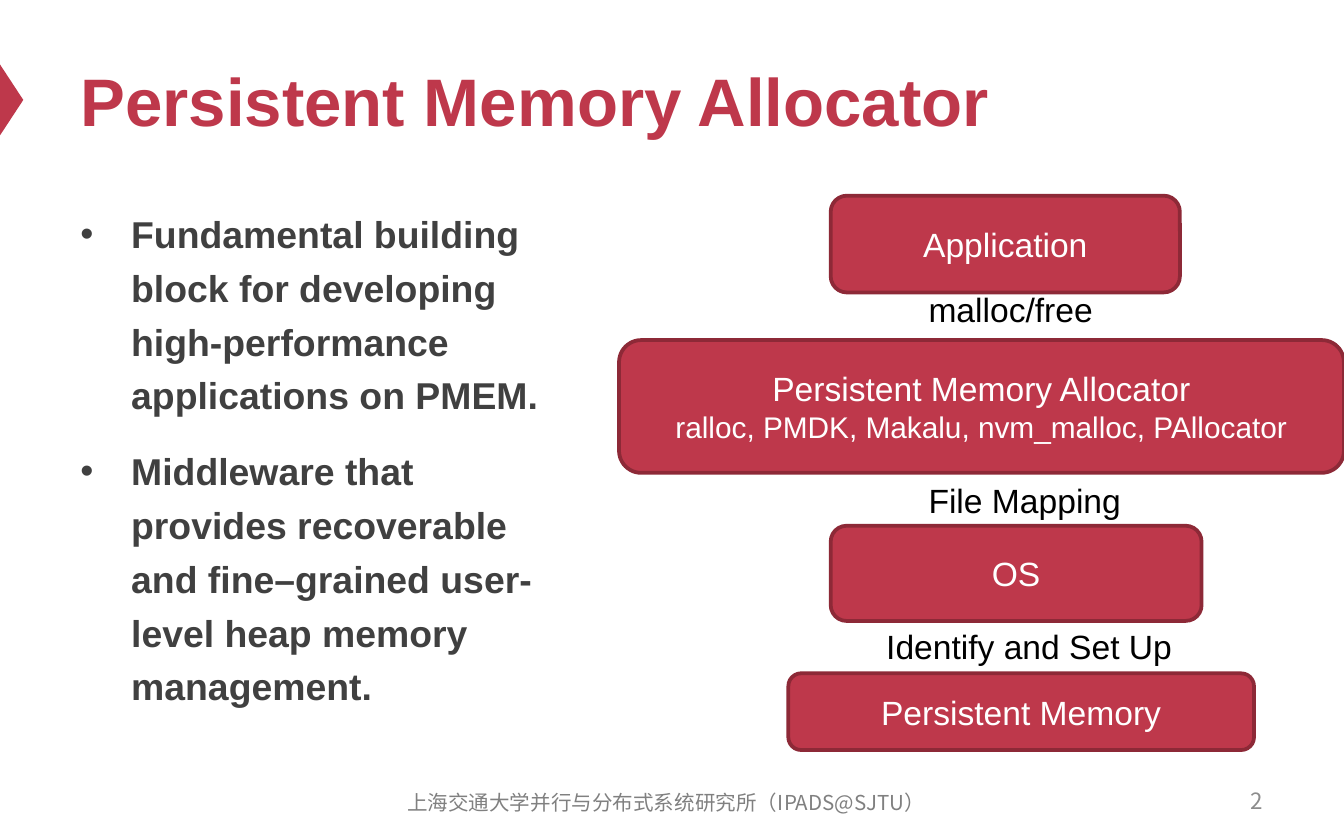
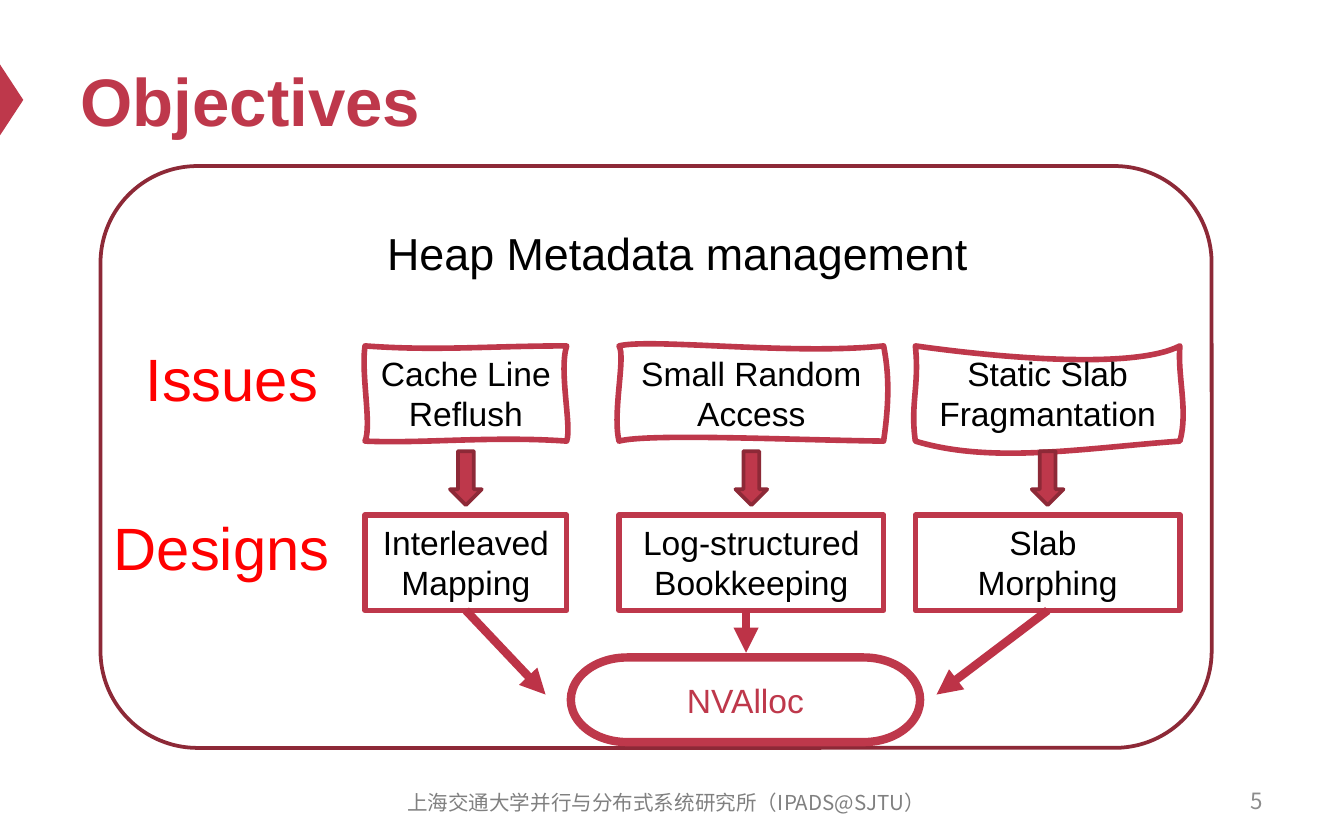
import pptx
import pptx.util
import pptx.dml.color
import pptx.enum.shapes
import pptx.enum.text
import pptx.oxml
import pptx.oxml.ns

Cm = pptx.util.Cm
Pt = pptx.util.Pt
KIND = pptx.enum.shapes.MSO_SHAPE
ALIGN = pptx.enum.text.PP_ALIGN
ANCHOR = pptx.enum.text.MSO_ANCHOR

RED, DARK, ARROW = "BE384B", "8D2937", "BD3347"
BLACK, WHITE, GRAY = "000000", "FFFFFF", "404040"
LATIN, HAN = "Arial", "Noto Sans CJK SC"
FOOTER = "上海交通大学并行与分布式系统研究所（IPADS@SJTU）"

LAYERS = [
    (15.7, 3.7, 6.6, 1.83, ["Application"]),
    (11.7, 6.43, 13.7, 2.51,
     ["Persistent Memory Allocator", "ralloc, PMDK, Makalu, nvm_malloc, PAllocator"]),
    (15.7, 9.94, 7.01, 1.8, ["OS"]),
    (14.9, 12.73, 8.8, 1.45, ["Persistent Memory"]),
]
LABELS = [
    (17.3, 5.33, 3.66, "malloc/free"),
    (17.3, 8.94, 4.19, "File Mapping"),
    (16.5, 11.71, 5.97, "Identify and Set Up"),
]
POINTS = [
    "Fundamental building block for developing high-performance applications on PMEM.",
    "Middleware that provides recoverable and fine–grained user-level heap memory management.",
]
ISSUE_TOP, DESIGN_TOP, BOX_TALL = 6.54, 9.74, 1.8
COLUMNS = [
    (6.9, 3.81, "Cache Line Reflush", ["Interleaved Mapping"],
     [((1.35, 0.1), (2.36, 0)), ((3.66, 0.48), (3.91, 1.52)),
      ((2.39, 1.7), (1.07, 1.85)), ((0.13, 1.5), (-0.08, 0.53))]),
    (11.7, 5, "Small Random Access", ["Log-structured Bookkeeping"],
     [((0.61, -0.15), (3.3, 0.18)), ((5.08, 0.41), (5.13, 0.91)),
      ((3.33, 1.78), (0.56, 1.65)), ((-0.13, 1.27), (0.13, 0.2))]),
    (17.3, 5, "Static Slab Fragmantation", ["Slab ", "Morphing"],
     [((1.78, 0.25), (4.17, 0.43)), ((4.95, 0.58), (5.16, 1.22)),
      ((3.2, 1.93), (1.45, 2.24)), ((-0.1, 1.09), (0.08, 0.76))]),
]
LINKS = [(8.8, 10.31, 13.13), (14.1, 14.1, 12.34), (19.89, 17.7, 13.13)]


def color(code):
    return pptx.dml.color.RGBColor.from_string(code)


def apply(target, values):
    for key, value in values.items():
        setattr(target, key, value)


def place(*sides):
    return [Cm(side) for side in sides]


def add_xml(parent, tag, **values):
    item = pptx.oxml.parse_xml(f"<a:{tag} {pptx.oxml.ns.nsdecls('a')}/>")
    for key, value in values.items():
        item.set(key, str(value))
    parent.append(item)
    return item


def write(shape, lines, sizes, ink, font=LATIN, bold=False, align=ALIGN.LEFT,
          anchor=ANCHOR.TOP, wrap=True):
    frame = shape.text_frame
    apply(frame, {"word_wrap": wrap, "vertical_anchor": anchor,
                  "auto_size": pptx.enum.text.MSO_AUTO_SIZE.NONE})
    for index, line in enumerate(lines):
        para = frame.add_paragraph() if index else frame.paragraphs[0]
        para.alignment = align
        run = para.add_run()
        run.text = line
        size = sizes[min(index, len(sizes) - 1)]
        apply(run.font, {"name": font, "size": Pt(size), "bold": bold})
        run.font.color.rgb = color(ink)
        add_xml(run.font._element, "ea", typeface=font)
    return frame


def paint(shape, fill=None, line=None, width=2):
    shape.shadow.inherit = False
    if fill:
        shape.fill.solid()
        shape.fill.fore_color.rgb = color(fill)
    else:
        shape.fill.background()
    if line:
        shape.line.color.rgb = color(line)
        shape.line.width = Pt(width)
    else:
        shape.line.fill.background()
    return shape


def add_box(slide, kind, area, **look):
    return paint(slide.shapes.add_shape(kind, *place(*area)), **look)


def add_text(slide, area, text, size, ink, **look):
    box = slide.shapes.add_textbox(*place(*area))
    return write(box, [text], [size], ink, **look)


def add_list(slide, area, items):
    box = slide.shapes.add_textbox(*place(*area))
    frame = write(box, items, [20], GRAY, bold=True)
    for para in frame.paragraphs:
        apply(para, {"line_spacing": 1.2, "space_before": Pt(12)})
        props = para._p.get_or_add_pPr()
        props.set("marL", str(Cm(0.96)))
        props.set("indent", str(-Cm(0.96)))
        add_xml(props, "buFont", typeface=LATIN)
        add_xml(props, "buChar", char="•")


def add_wave(slide, left, top, wide, tall, pulls):
    ends = [(wide, 0), (wide, tall), (0, tall), (0, 0)]
    maker = slide.shapes.build_freeform(*place(left, top))
    maker.add_line_segments([place(left + x, top + y) for x, y in ends], close=True)
    shape = maker.convert_to_shape()
    sides = shape._element.findall(".//" + pptx.oxml.ns.qn("a:lnTo"))
    for side, pull, end in zip(sides, pulls, ends):
        curve = add_xml(side.getparent(), "cubicBezTo")
        for x, y in (*pull, end):
            add_xml(curve, "pt", x=Cm(x), y=Cm(y))
        side.getparent().replace(side, curve)
    return paint(shape, line=RED, width=3)


def add_arrow(slide, box, start, end):
    kind = pptx.enum.shapes.MSO_CONNECTOR.STRAIGHT
    link = slide.shapes.add_connector(kind, *place(*start, *end))
    if abs(Cm(start[0]) - box.left - box.width / 2) < Cm(0.1):
        link.begin_connect(box, 2)
    link.line.color.rgb = color(ARROW)
    link.line.width = Pt(4.5)
    add_xml(link.line._get_or_add_ln(), "tailEnd", type="triangle")
    add_xml(link._element.spPr, "effectLst")


def add_slide(deck, title, number):
    slide = deck.slides.add_slide(deck.slide_layouts[5])
    mark = add_box(slide, KIND.ISOSCELES_TRIANGLE, (-0.45, 1.67, 1.34, 0.44), fill=RED)
    mark.rotation = 90
    head = slide.shapes.title
    area = place(1.27, 0.64, 22.86, 2.49)
    apply(head, dict(zip(("left", "top", "width", "height"), area)))
    write(head, [title], [36], RED, bold=True, anchor=ANCHOR.MIDDLE)
    add_text(slide, (18.2, 14.71, 5.92, 0.84), number, 12, "8C8C8C", font=HAN,
             align=ALIGN.RIGHT, anchor=ANCHOR.MIDDLE)
    add_text(slide, (7.09, 14.74, 11, 0.84), FOOTER, 11, "808080", font=HAN,
             align=ALIGN.CENTER, anchor=ANCHOR.MIDDLE)
    return slide


def add_stack(deck):
    slide = add_slide(deck, "Persistent Memory Allocator", "2")
    add_list(slide, (1.27, 3.7, 9.7, 10.49), POINTS)
    for *area, lines in LAYERS:
        box = add_box(slide, KIND.ROUNDED_RECTANGLE, area, fill=RED, line=DARK)
        write(box, lines, [18, 16], WHITE, align=ALIGN.CENTER, anchor=ANCHOR.MIDDLE)
    for left, top, wide, text in LABELS:
        add_text(slide, (left, top, wide, 1.02), text, 18, BLACK, wrap=False)


def add_goals(deck):
    slide = add_slide(deck, "Objectives", "5")
    add_box(slide, KIND.ROUNDED_RECTANGLE, (1.9, 3.14, 21, 11), line=DARK)
    add_text(slide, (6.1, 4.14, 13.4, 1.27), "Heap Metadata management", 24, BLACK,
             align=ALIGN.CENTER)
    add_text(slide, (2.5, 6.34, 3.99, 1.63), "Issues", 32, "FF0000")
    add_text(slide, (1.9, 9.53, 4.6, 1.63), "Designs", 32, "FF0000")
    boxes = []
    for left, wide, issue, design, pulls in COLUMNS:
        wave = add_wave(slide, left, ISSUE_TOP, wide, BOX_TALL, pulls)
        write(wave, [issue], [18], BLACK, align=ALIGN.CENTER)
        box = add_box(slide, KIND.RECTANGLE, (left, DESIGN_TOP, wide, BOX_TALL),
                      line=RED, width=3)
        write(box, design, [18], BLACK, align=ALIGN.CENTER)
        boxes.append(box)
        add_box(slide, KIND.DOWN_ARROW, (left + wide / 2 - 0.3, 8.53, 0.6, 1.02),
                fill=RED, line=DARK)
    for box, (start, *end) in zip(boxes, LINKS):
        add_arrow(slide, box, (start, DESIGN_TOP + BOX_TALL), end)
    goal = add_box(slide, KIND.FLOWCHART_TERMINATOR, (10.79, 12.43, 6.6, 1.6),
                   line=RED, width=4.5)
    write(goal, ["NVAlloc"], [18], RED, align=ALIGN.CENTER, anchor=ANCHOR.MIDDLE)


def main():
    deck = pptx.Presentation()
    apply(deck, {"slide_width": Cm(25.4), "slide_height": Cm(15.88)})
    add_stack(deck)
    add_goals(deck)
    deck.save("out.pptx")


if __name__ == "__main__":
    main()
